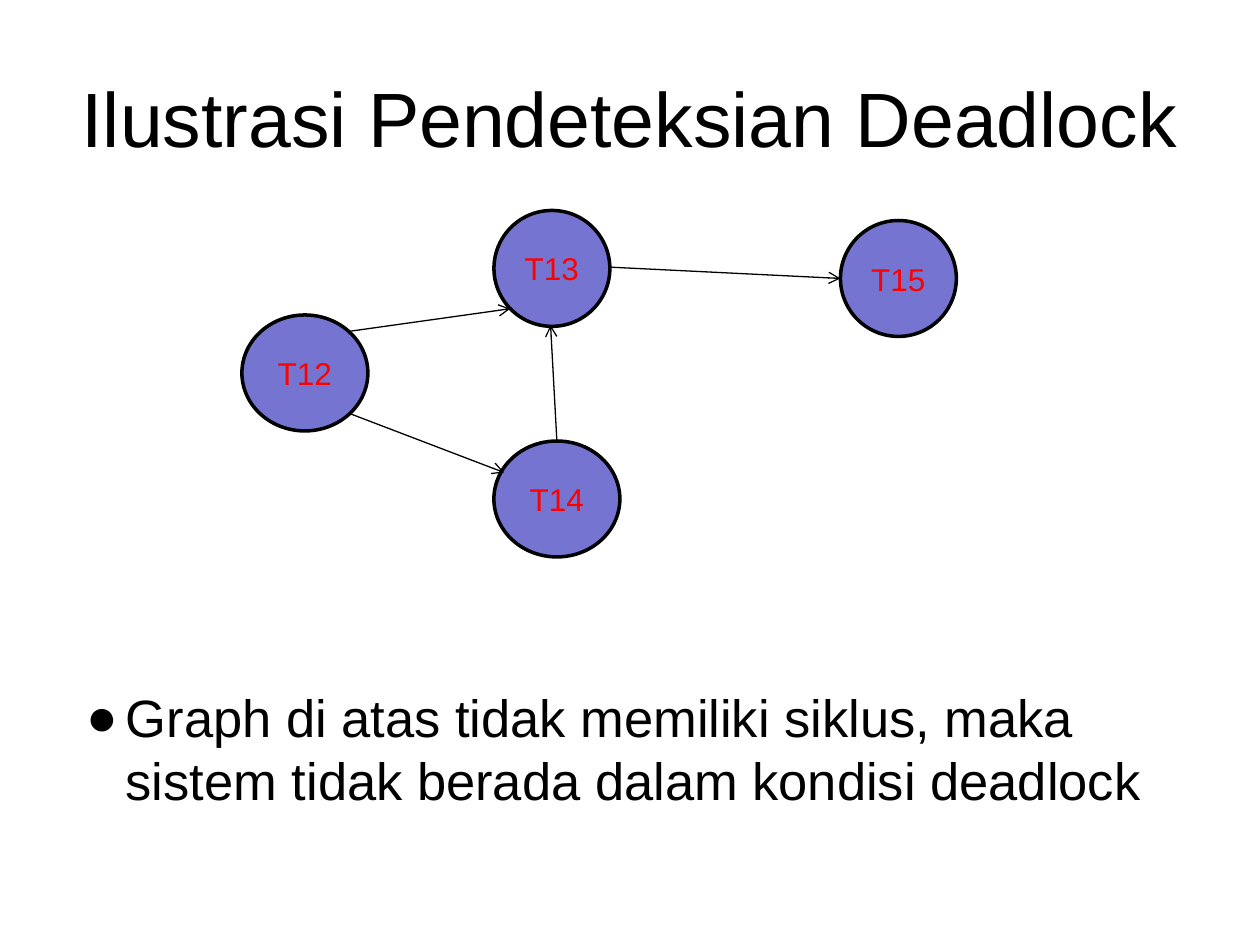
from lxml import etree
from pptx import Presentation
from pptx import util as u
from pptx.dml.color import RGBColor
from pptx.enum import shapes, text
from pptx.oxml.ns import qn

COLORS = {"ink": "000000", "node": "7575D1", "label": "FF0000"}

# name: left, top, width
NODES = {
    "T12": (1.92, 2.5, 1),
    "T13": (3.92, 1.67, 0.92),
    "T14": (3.92, 3.5, 1),
    "T15": (6.67, 1.75, 0.92),
}
NODE_HEIGHT = 0.92

EDGES = [
    ((2.77, 2.63), (4.05, 2.45)),  # T12 to T13
    ((2.77, 3.28), (4, 3.75)),     # T12 to T14
    ((4.42, 3.5), (4.37, 2.58)),   # T14 to T13
    ((4.83, 2.12), (6.67, 2.21)),  # T13 to T15
]


class GraphSlide:
    font = "Arial"

    def __init__(self, deck):
        self.page = deck.slides.add_slide(deck.slide_layouts[6])

    def color(self, name):
        return RGBColor.from_string(COLORS[name])

    def set_text(self, shape, words, size, color, align, anchor):
        frame = shape.text_frame
        frame.word_wrap = True
        frame.vertical_anchor = anchor
        para = frame.paragraphs[0]
        para.text = words
        para.alignment = align
        para.font.name = self.font
        para.font.size = u.Pt(size)
        para.font.color.rgb = self.color(color)
        return para

    def text_box(self, area, words, size, align, anchor):
        box = self.page.shapes.add_textbox(*map(u.Inches, area))
        para = self.set_text(box, words, size, "ink", align, anchor)
        return box, para

    def title(self, words):
        self.text_box((0.5, 0.3, 9, 1.25), words, 44,
                      text.PP_ALIGN.CENTER, text.MSO_ANCHOR.MIDDLE)

    def bullet(self, words):
        box, para = self.text_box((0.5, 1.75, 9, 4.95), words, 30,
                                  text.PP_ALIGN.LEFT, text.MSO_ANCHOR.BOTTOM)
        box.text_frame.margin_bottom = u.Inches(0.26)
        props = para._p.get_or_add_pPr()
        props.set("marL", str(u.Inches(0.4)))
        props.set("indent", str(u.Inches(-0.31)))
        # Bullet elements must precede the default run properties.
        defaults = props.find(qn("a:defRPr"))
        for tag, key, value in (("a:buFont", "typeface", self.font),
                                ("a:buChar", "char", "●")):
            defaults.addprevious(etree.Element(qn(tag), {key: value}))

    def node(self, name, left, top, width):
        circle = self.page.shapes.add_shape(
            shapes.MSO_SHAPE.OVAL,
            *map(u.Inches, (left, top, width, NODE_HEIGHT)))
        circle.shadow.inherit = False
        circle.fill.solid()
        circle.fill.fore_color.rgb = self.color("node")
        circle.line.color.rgb = self.color("ink")
        circle.line.width = u.Pt(2)
        self.set_text(circle, name, 18, "label",
                      text.PP_ALIGN.CENTER, text.MSO_ANCHOR.MIDDLE)

    def arrow(self, start, end):
        connector = self.page.shapes.add_connector(
            shapes.MSO_CONNECTOR.STRAIGHT, *map(u.Inches, start + end))
        connector.line.color.rgb = self.color("ink")
        connector.line.width = u.Pt(0.75)
        props = connector._element.spPr
        etree.SubElement(props.find(qn("a:ln")), qn("a:tailEnd"), type="arrow")
        etree.SubElement(props, qn("a:effectLst"))


def main():
    deck = Presentation()
    deck.slide_width, deck.slide_height = u.Inches(10), u.Inches(7.5)
    slide = GraphSlide(deck)
    slide.title("Ilustrasi Pendeteksian Deadlock")
    slide.bullet("Graph di atas tidak memiliki siklus, maka "
                 "sistem tidak berada dalam kondisi deadlock")
    for name, place in NODES.items():
        slide.node(name, *place)
    for start, end in EDGES:
        slide.arrow(start, end)
    deck.save("out.pptx")


if __name__ == "__main__":
    main()
